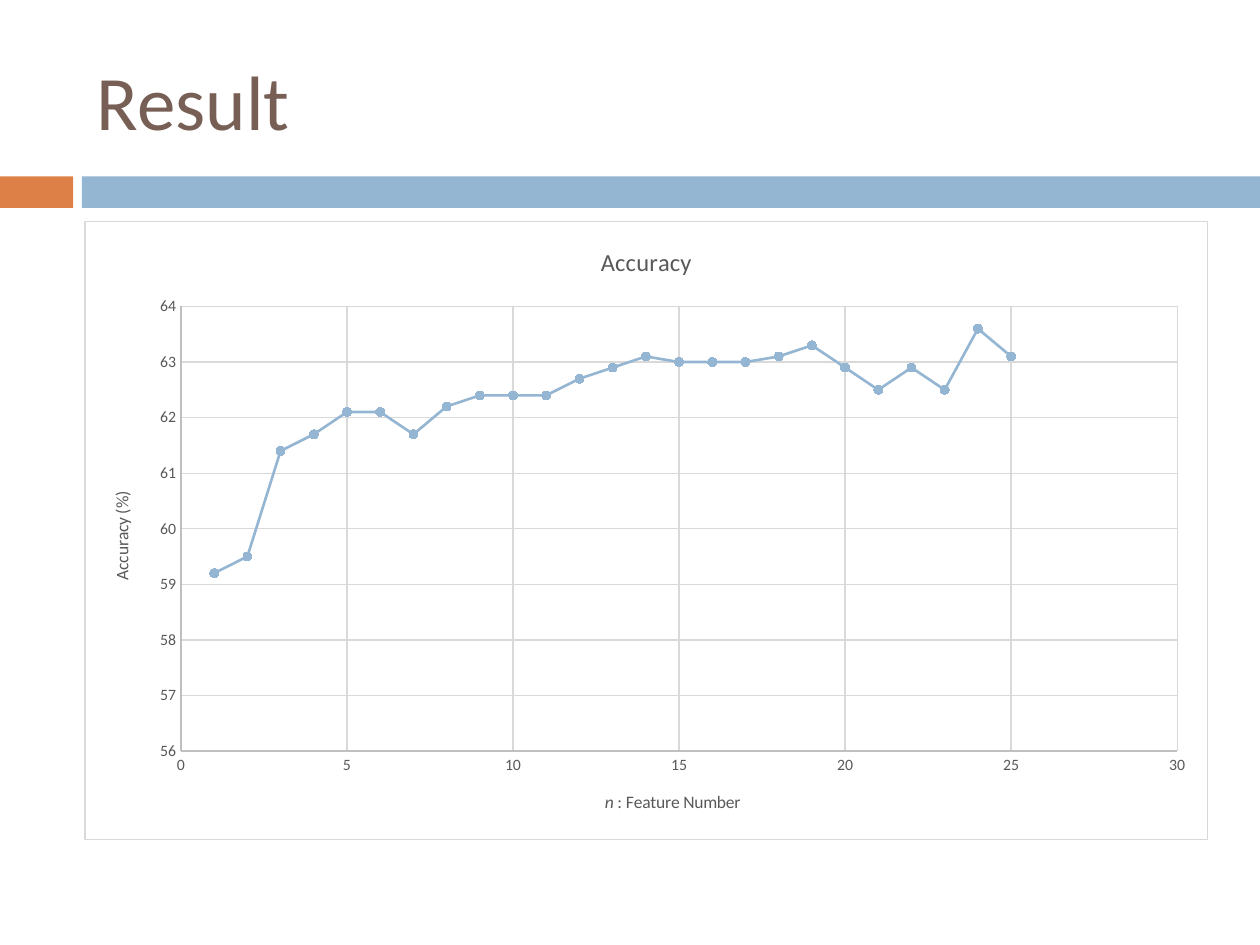
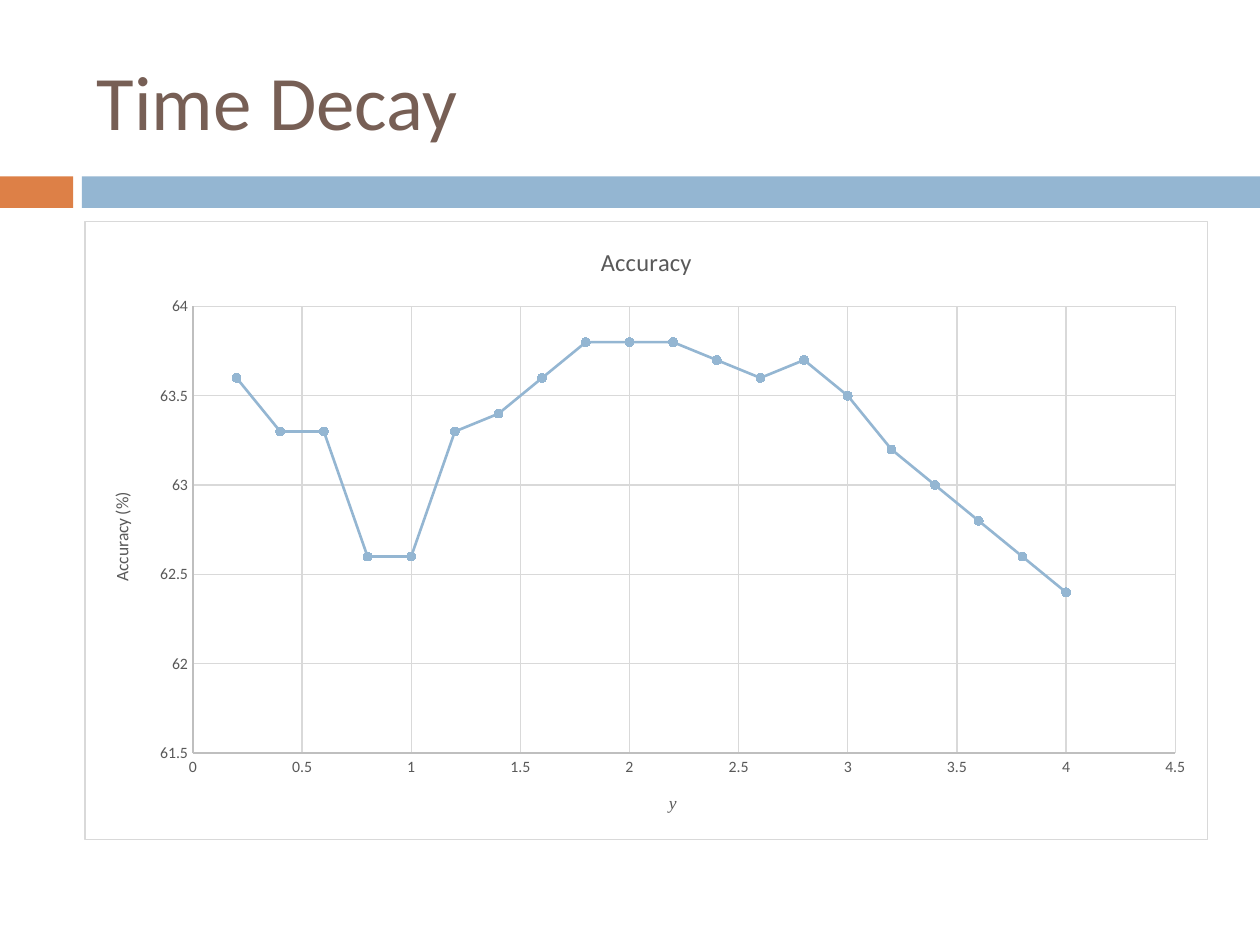
from dataclasses import dataclass

from pptx import Presentation
from pptx import oxml
from pptx.chart import data as chart_data
from pptx.dml import color
from pptx.enum import chart as chart_enum, shapes, text
from pptx.oxml import ns
from pptx.util import Inches, Pt

COLORS = {
    "background": "FFFFFF",
    "accent": "DD8047",
    "series": "94B6D2",
    "title": "775F55",
    "label": "595959",
    "axis": "BFBFBF",
    "grid": "D9D9D9",
}
FONT = "Calibri"
MATH_FONT = "Times New Roman"
MARGIN, CONTENT_WIDTH = 0.67, 8.92
TITLE_BOX = (MARGIN, 0.25, CONTENT_WIDTH, 1.08)
BAND_BOX = (0, 1.4, 10, 0.25)
CHART_BOX = (MARGIN, 1.75, CONTENT_WIDTH, 4.92)


@dataclass
class AxisRange:
    low: float
    high: float
    step: float


@dataclass
class Study:
    title: str
    axis_runs: list
    x_step: float
    accuracy: list
    x_range: AxisRange
    y_range: AxisRange


STUDIES = [
    Study(
        "Result",
        [("n", FONT, True), (" : Feature Number", FONT, False)],
        1,
        [59.2, 59.5, 61.4, 61.7, 62.1, 62.1, 61.7, 62.2, 62.4,
         62.4, 62.4, 62.7, 62.9, 63.1, 63.0, 63.0, 63.0, 63.1,
         63.3, 62.9, 62.5, 62.9, 62.5, 63.6, 63.1],
        AxisRange(0, 30, 5),
        AxisRange(56, 64, 1),
    ),
    Study(
        "Time Decay",
        [("y", MATH_FONT, True)],
        0.2,
        [63.6, 63.3, 63.3, 62.6, 62.6, 63.3, 63.4, 63.6, 63.8, 63.8,
         63.8, 63.7, 63.6, 63.7, 63.5, 63.2, 63.0, 62.8, 62.6, 62.4],
        AxisRange(0, 4.5, 0.5),
        AxisRange(61.5, 64, 0.5),
    ),
]


def rgb(name):
    return color.RGBColor.from_string(COLORS[name])


def set_font(font, size, color_name, name=FONT, italic=False):
    font.size = Pt(size)
    font.name = name
    font.bold = False
    font.italic = italic
    font.color.rgb = rgb(color_name)


def set_line(line, color_name, width):
    line.color.rgb = rgb(color_name)
    line.width = Pt(width)


def add_runs(frame, runs, size, color_name):
    paragraph = frame.paragraphs[0]
    for words, name, italic in runs:
        run = paragraph.add_run()
        run.text = words
        set_font(run.font, size, color_name, name, italic)


def add_title(slide, box, words):
    shape = slide.shapes.add_textbox(*map(Inches, box))
    frame = shape.text_frame
    frame.word_wrap = True
    frame.vertical_anchor = text.MSO_ANCHOR.MIDDLE
    add_runs(frame, [(words, FONT, False)], 44, "title")


def add_band(slide, box):
    left, top, width, height = box
    tab_width, gap = 0.58, 0.07
    start = tab_width + gap
    parts = [(0, tab_width, "accent"), (start, width - start, "series")]
    for offset, part_width, color_name in parts:
        shape = slide.shapes.add_shape(
            shapes.MSO_SHAPE.RECTANGLE, Inches(left + offset), Inches(top),
            Inches(part_width), Inches(height))
        shape.shadow.inherit = False
        shape.fill.solid()
        shape.fill.fore_color.rgb = rgb(color_name)
        shape.line.fill.background()


def style_axis(axis, axis_range, title_runs):
    axis.minimum_scale = axis_range.low
    axis.maximum_scale = axis_range.high
    axis.major_unit = axis_range.step
    axis.major_tick_mark = chart_enum.XL_TICK_MARK.NONE
    axis.minor_tick_mark = chart_enum.XL_TICK_MARK.NONE
    axis.has_major_gridlines = True
    set_line(axis.major_gridlines.format.line, "grid", 0.75)
    set_line(axis.format.line, "axis", 0.75)
    set_font(axis.tick_labels.font, 9, "label")
    axis.tick_labels.number_format = "General"
    axis.tick_labels.number_format_is_linked = False
    add_runs(axis.axis_title.text_frame, title_runs, 10, "label")


def style_series(series):
    series.smooth = False
    set_line(series.format.line, "series", 1.5)
    marker = series.marker
    marker.style = chart_enum.XL_MARKER_STYLE.CIRCLE
    marker.size = 5
    marker.format.fill.solid()
    marker.format.fill.fore_color.rgb = rgb("series")
    set_line(marker.format.line, "series", 0.75)


def frame_chart(chart):
    properties = oxml.parse_xml(
        f'<c:spPr {ns.nsdecls("c", "a")}>'
        f'<a:solidFill><a:srgbClr val="{COLORS["background"]}"/></a:solidFill>'
        f'<a:ln w="{Pt(0.75)}"><a:solidFill>'
        f'<a:srgbClr val="{COLORS["grid"]}"/></a:solidFill></a:ln></c:spPr>')
    chart.element.find(ns.qn("c:chart")).addnext(properties)


def add_accuracy_chart(slide, box, study):
    points = chart_data.XyChartData()
    series = points.add_series("Series 1")
    for index, value in enumerate(study.accuracy, 1):
        series.add_data_point(round(index * study.x_step, 1), value)
    chart = slide.shapes.add_chart(
        chart_enum.XL_CHART_TYPE.XY_SCATTER_LINES,
        *map(Inches, box), points).chart
    chart.font.size = Pt(10)
    chart.font.name = FONT
    chart.has_legend = False
    chart.has_title = True
    chart.chart_title.include_in_layout = False
    add_runs(chart.chart_title.text_frame, [("Accuracy", FONT, False)],
             14, "label")
    chart.plots[0].vary_by_categories = False
    style_axis(chart.category_axis, study.x_range, study.axis_runs)
    style_axis(chart.value_axis, study.y_range,
               [("Accuracy (%)", FONT, False)])
    style_series(chart.plots[0].series[0])
    frame_chart(chart)


def add_study_slide(presentation, study):
    slide = presentation.slides.add_slide(presentation.slide_layouts[6])
    slide.background.fill.solid()
    slide.background.fill.fore_color.rgb = rgb("background")
    add_band(slide, BAND_BOX)
    add_title(slide, TITLE_BOX, study.title)
    add_accuracy_chart(slide, CHART_BOX, study)


presentation = Presentation()
presentation.slide_width = Inches(10)
presentation.slide_height = Inches(7.5)
for study in STUDIES:
    add_study_slide(presentation, study)
presentation.save("out.pptx")
